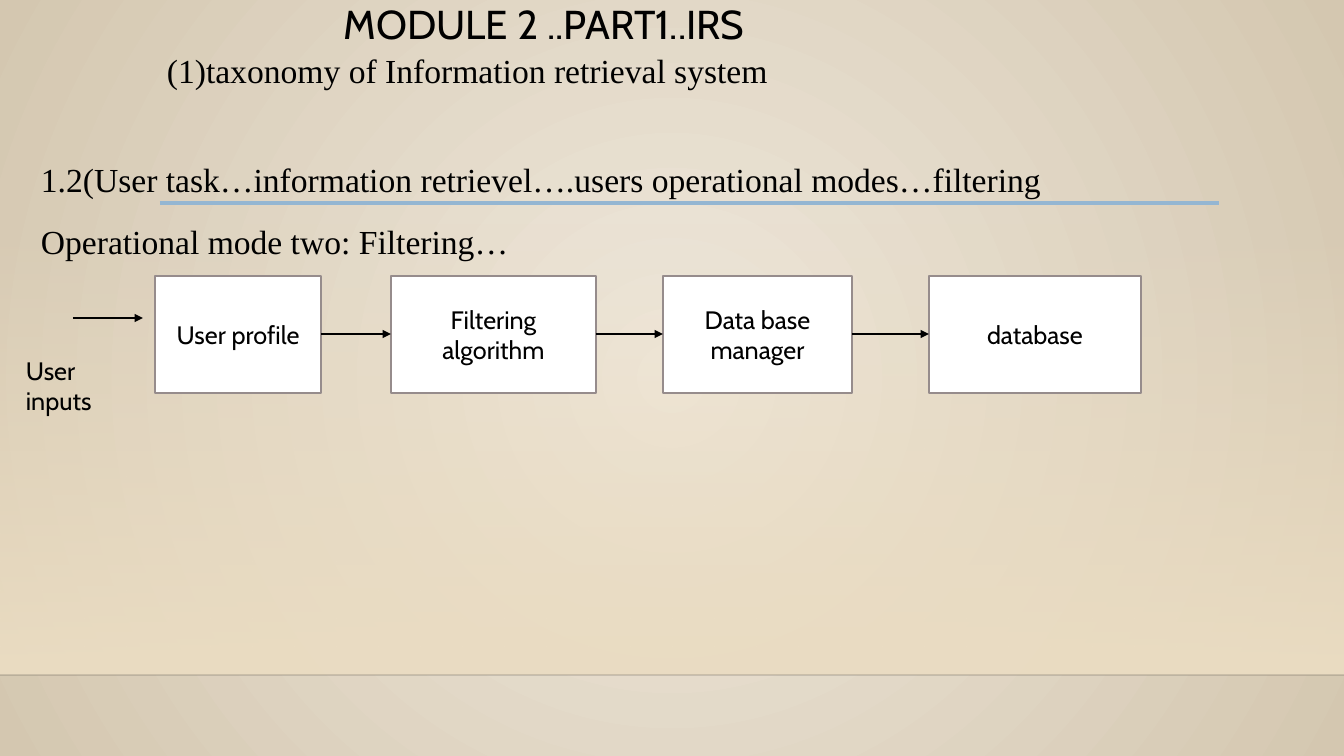
from lxml import etree
from pptx import Presentation
from pptx.dml.color import RGBColor
from pptx.enum.shapes import MSO_CONNECTOR, MSO_SHAPE
from pptx.enum.text import MSO_ANCHOR, PP_ALIGN
from pptx.oxml import parse_xml
from pptx.oxml.ns import nsdecls, qn
from pptx.util import Pt

RECT = MSO_SHAPE.RECTANGLE
STRAIGHT = MSO_CONNECTOR.STRAIGHT
MIDDLE = MSO_ANCHOR.MIDDLE
TOP = MSO_ANCHOR.TOP
LEFT = PP_ALIGN.LEFT
CENTER = PP_ALIGN.CENTER

SCALE = 914400 / 100.8
WIDTH, HEIGHT = 1344, 756
COLORS = {
    "text": "000000",
    "box": "FFFFFF",
    "border": "968C8C",
    "rule": "94B6D2",
    "edge": "000001",
    "center": "EFE8DC",
    "corner": "D4C7B0",
    "floor": "EBDDC3",
}
LABEL = {"name": "Cabin", "size": Pt(18)}
TITLE = {"name": "Cabin", "size": Pt(28.8)}
BODY = {"name": "Times New Roman", "size": Pt(24)}

CIRCLE = ('<a:path {} path="circle"><a:fillToRect l="50000" t="50000" '
          'r="50000" b="50000"/></a:path>')
DOWN = '<a:lin {} ang="5400000" scaled="0"/>'

BOX_TOP, BOX_HEIGHT = 276, 117
BOXES = [
    ("User profile", 155, 166),
    ("Filtering algorithm", 391, 205),
    ("Data base manager", 663, 189),
    ("database", 929, 212),
]


def px(n):
    return round(n * SCALE)


def rgb(key):
    return RGBColor.from_string(COLORS[key])


def set_alpha(clr, percent):
    etree.SubElement(clr, qn("a:alpha"), val=str(percent * 1000))


def set_gradient(fill, element, stops, direction):
    fill.gradient()
    grad = element.find(".//" + qn("a:gradFill"))
    grad.clear()
    gs_list = etree.SubElement(grad, qn("a:gsLst"))
    for pos, key, alpha in stops:
        gs = etree.SubElement(gs_list, qn("a:gs"), pos=str(pos * 1000))
        clr = etree.SubElement(gs, qn("a:srgbClr"), val=COLORS[key])
        set_alpha(clr, alpha)
    grad.append(parse_xml(direction.format(nsdecls("a"))))


def add_rect(s, x, y, w, h):
    sp = s.shapes.add_shape(RECT, px(x), px(y), px(w), px(h))
    sp.shadow.inherit = False
    return sp


def add_line(s, x1, y1, x2, y2, key, width, arrow=False, alpha=100):
    cxn = s.shapes.add_connector(STRAIGHT, px(x1), px(y1), px(x2), px(y2))
    cxn.line.color.rgb = rgb(key)
    cxn.line.width = Pt(width)
    sp_pr = cxn._element.spPr
    etree.SubElement(sp_pr, qn("a:effectLst"))
    if alpha < 100:
        set_alpha(sp_pr.find(".//" + qn("a:srgbClr")), alpha)
    if arrow:
        etree.SubElement(sp_pr.find(qn("a:ln")), qn("a:tailEnd"), type="triangle")


def add_paragraph(p, text, font, indent=0, **formats):
    if indent:
        p._p.get_or_add_pPr().set("marL", str(px(indent)))
    for name, value in formats.items():
        setattr(p, name, value)
    r = p.add_run()
    r.text = text
    for name, value in font.items():
        setattr(r.font, name, value)
    r.font.color.rgb = rgb("text")


def add_text(s, x, y, w, h):
    tf = s.shapes.add_textbox(px(x), px(y), px(w), px(h)).text_frame
    tf.word_wrap = True
    tf.vertical_anchor = TOP
    return tf


def add_box(s, text, x, w):
    sp = add_rect(s, x, BOX_TOP, w, BOX_HEIGHT)
    sp.fill.solid()
    sp.fill.fore_color.rgb = rgb("box")
    sp.line.color.rgb = rgb("border")
    sp.line.width = Pt(1.25)
    tf = sp.text_frame
    tf.word_wrap = True
    tf.vertical_anchor = MIDDLE
    add_paragraph(tf.paragraphs[0], text, LABEL, alignment=CENTER)


def add_backdrop(s):
    set_gradient(s.background.fill, s._element,
                 [(0, "center", 100), (100, "corner", 100)], CIRCLE)
    sp = add_rect(s, 0, 223, WIDTH, 452)
    sp.line.fill.background()
    set_gradient(sp.fill, sp._element,
                 [(0, "floor", 0), (100, "floor", 100)], DOWN)
    add_line(s, 0, 675, WIDTH, 675, "edge", 1, alpha=20)
    add_line(s, 160, 203, 1219, 203, "rule", 2.5)


def add_body(s):
    tf = add_text(s, 31, 37, 1263, 624)
    lines = [
        ("(1)taxonomy of Information retrieval system", 126, 0),
        ("1.2(User task…information retrievel….users operational modes…filtering", 0, 43),
        ("Operational mode two: Filtering…", 0, 10),
    ]
    for i, (text, indent, before) in enumerate(lines):
        p = tf.add_paragraph() if i else tf.paragraphs[0]
        add_paragraph(p, text, BODY, indent, alignment=LEFT,
                      line_spacing=1.2, space_before=Pt(before))


def add_flow(s):
    for text, x, w in BOXES:
        add_box(s, text, x, w)
    middle = BOX_TOP + BOX_HEIGHT // 2
    for (_, x, w), (_, next_x, _) in zip(BOXES, BOXES[1:]):
        add_line(s, x + w, middle, next_x, middle, "text", 0.75, arrow=True)
    add_line(s, 73, 318, 143, 318, "text", 0.75, arrow=True)
    tf = add_text(s, 16, 350, 112, 72)
    add_paragraph(tf.paragraphs[0], "User inputs", LABEL)


def main():
    prs = Presentation()
    prs.slide_width, prs.slide_height = px(WIDTH), px(HEIGHT)
    s = prs.slides.add_slide(prs.slide_layouts[6])
    add_backdrop(s)
    tf = add_text(s, 143, 0, 1058, 57)
    add_paragraph(tf.paragraphs[0], "MODULE 2 ..PART1..IRS", TITLE, 191,
                  line_spacing=0.9)
    add_body(s)
    add_flow(s)
    prs.save("out.pptx")


if __name__ == "__main__":
    main()
